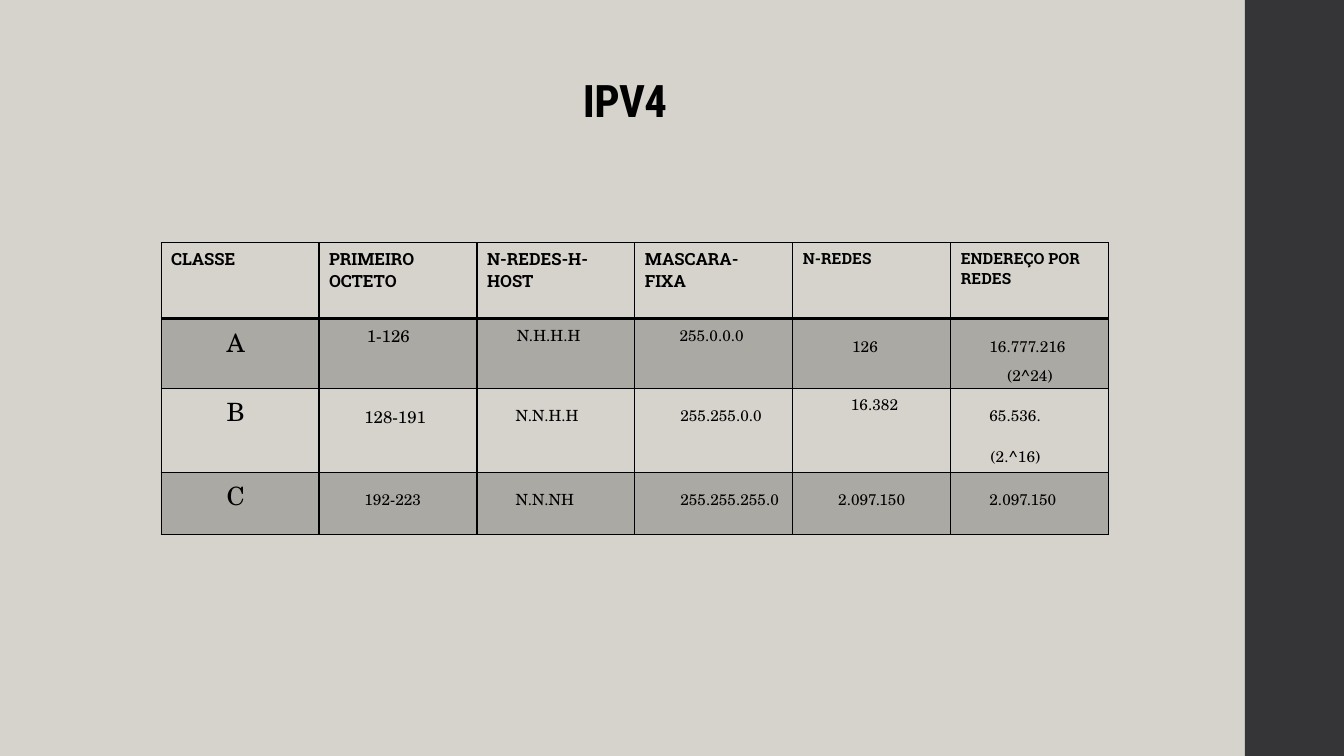
from lxml import etree
from pptx import Presentation
from pptx.dml.color import RGBColor
from pptx.enum import shapes, text
from pptx.oxml import ns
from pptx.util import Cm, Pt

BLACK = RGBColor(0x00, 0x00, 0x00)
SAND = RGBColor(0xD6, 0xD3, 0xCC)
BAND = RGBColor(0xAB, 0xA9, 0xA3)
CHARCOAL = RGBColor(0x35, 0x35, 0x37)

TITLE = "IPV4"
# Header: wording, size
HEADERS = [
    ("CLASSE", 12),
    ("PRIMEIRO\vOCTETO", 12),
    ("N-REDES-H-\vHOST", 12),
    ("MASCARA-\vFIXA", 12),
    ("N-REDES", 11),
    ("ENDEREÇO POR REDES", 11),
]
# Body cell: top margin in cm, then lines of (wording, size, indent in cm, space before in pt)
HIGH, LOW = 0.13, 0.4
ROWS = [
    [
        (HIGH, [("A", 18, 1.4, 0)]),
        (HIGH, [("1-126", 12, 0.95, 0)]),
        (HIGH, [("N.H.H.H", 11, 0.75, 0)]),
        (HIGH, [("255.0.0.0", 11, 0.87, 0)]),
        (LOW, [("126", 11, 1.24, 0)]),
        (LOW, [("16.777.216", 11, 0.72, 0), ("(2^24)", 11, 1.17, 5)]),
    ],
    [
        (HIGH, [("B", 18, 1.4, 0)]),
        (LOW, [("128-191", 12, 0.89, 0)]),
        (LOW, [("N.N.H.H", 11, 0.72, 0)]),
        (LOW, [("255.255.0.0", 11, 0.89, 0)]),
        (HIGH, [("16.382", 11, 1.21, 0)]),
        (LOW, [("65.536.", 11, 0.72, 0), ("(2.^16)", 11, 0.75, 13)]),
    ],
    [
        (HIGH, [("C", 18, 1.4, 0)]),
        (LOW, [("192-223", 11, 0.89, 0)]),
        (LOW, [("N.N.NH", 11, 0.72, 0)]),
        (LOW, [("255.255.255.0", 11, 0.89, 0)]),
        (LOW, [("2.097.150", 11, 0.89, 0)]),
        (LOW, [("2.097.150", 11, 0.72, 0)]),
    ],
]
COLUMN_WIDTH = 3.98
ROW_HEIGHTS = [1.91, 1.75, 2.12, 1.56]

HEADER_FONT = {"name": "Roboto Slab", "bold": True}
BODY_FONT = {"name": "TeX Gyre Schola", "bold": False}
TITLE_FONT = {"name": "Roboto Condensed", "bold": True, "size": Pt(32)}


def set_format(target, values):
    for name, value in values.items():
        setattr(target, name, value)


def write(paragraph, wording, font):
    run_list = paragraph
    run_list.text = wording
    for run in paragraph.runs:
        set_format(run.font, font)
        run.font.color.rgb = BLACK


def set_borders(cell, widths):
    """Give the cell black borders; widths are points for left, right, top, bottom."""
    properties = cell._tc.get_or_add_tcPr()
    for side, width in zip("LRTB", widths):
        line = etree.SubElement(properties, ns.qn(f"a:ln{side}"), w=str(Pt(width)))
        fill = etree.SubElement(line, ns.qn("a:solidFill"))
        etree.SubElement(fill, ns.qn("a:srgbClr"), val=str(BLACK))


def add_side_bar(slide, height):
    bar = slide.shapes.add_shape(
        shapes.MSO_SHAPE.RECTANGLE, Cm(31.37), 0, Cm(2.5), height)
    bar.shadow.inherit = False
    bar.fill.solid()
    bar.fill.fore_color.rgb = CHARCOAL
    bar.line.fill.background()


def add_title(slide):
    box = slide.shapes.add_textbox(Cm(3.51), Cm(1.19), Cm(25.4), Cm(2.82))
    set_format(box.text_frame, {
        "word_wrap": True,
        "vertical_anchor": text.MSO_ANCHOR.MIDDLE,
        "margin_left": Cm(11.18),
    })
    paragraph = box.text_frame.paragraphs[0]
    paragraph.line_spacing = 0.9
    write(paragraph, TITLE, TITLE_FONT)
    paragraph.runs[0].font._element.set("spc", "-50")


def add_class_table(slide):
    table = slide.shapes.add_table(
        len(ROW_HEIGHTS), len(HEADERS), Cm(4.06), Cm(6.12),
        Cm(COLUMN_WIDTH * len(HEADERS)), Cm(sum(ROW_HEIGHTS))).table
    set_format(table, {"first_row": False, "horz_banding": False})
    for column in table.columns:
        column.width = Cm(COLUMN_WIDTH)
    for row, height in zip(table.rows, ROW_HEIGHTS):
        row.height = Cm(height)

    header = [(HIGH, [(wording, size, 0, 0)]) for wording, size in HEADERS]
    for row_index, row in enumerate([header] + ROWS):
        font = BODY_FONT if row_index else HEADER_FONT
        top = 2 if row_index == 1 else 1
        bottom = 2 if row_index == 0 else 1
        for column_index, (margin, lines) in enumerate(row):
            cell = table.cell(row_index, column_index)
            set_borders(cell, (1, 1, top, bottom))
            if row_index % 2:
                cell.fill.solid()
                cell.fill.fore_color.rgb = BAND
            else:
                cell.fill.background()
            cell.margin_top = Cm(margin)
            frame = cell.text_frame
            for line_index, (wording, size, indent, space) in enumerate(lines):
                paragraph = frame.add_paragraph() if line_index else frame.paragraphs[0]
                write(paragraph, wording, {**font, "size": Pt(size)})
                paragraph.space_before = Pt(space)
                paragraph._p.get_or_add_pPr().set("marL", str(Cm(indent)))


def main():
    presentation = Presentation()
    set_format(presentation, {"slide_width": Cm(33.87), "slide_height": Cm(19.05)})
    slide = presentation.slides.add_slide(presentation.slide_layouts[6])
    slide.background.fill.solid()
    slide.background.fill.fore_color.rgb = SAND
    add_side_bar(slide, presentation.slide_height)
    add_title(slide)
    add_class_table(slide)
    presentation.save("out.pptx")


if __name__ == "__main__":
    main()
